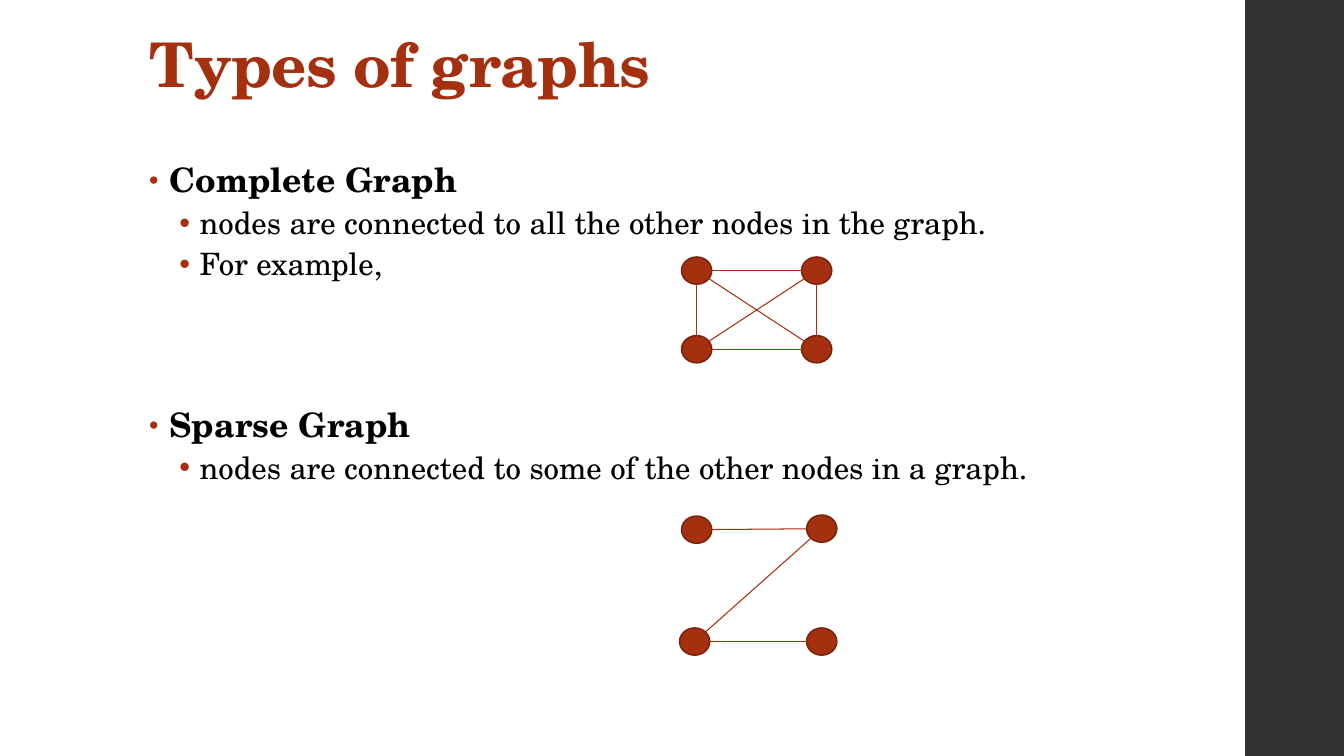
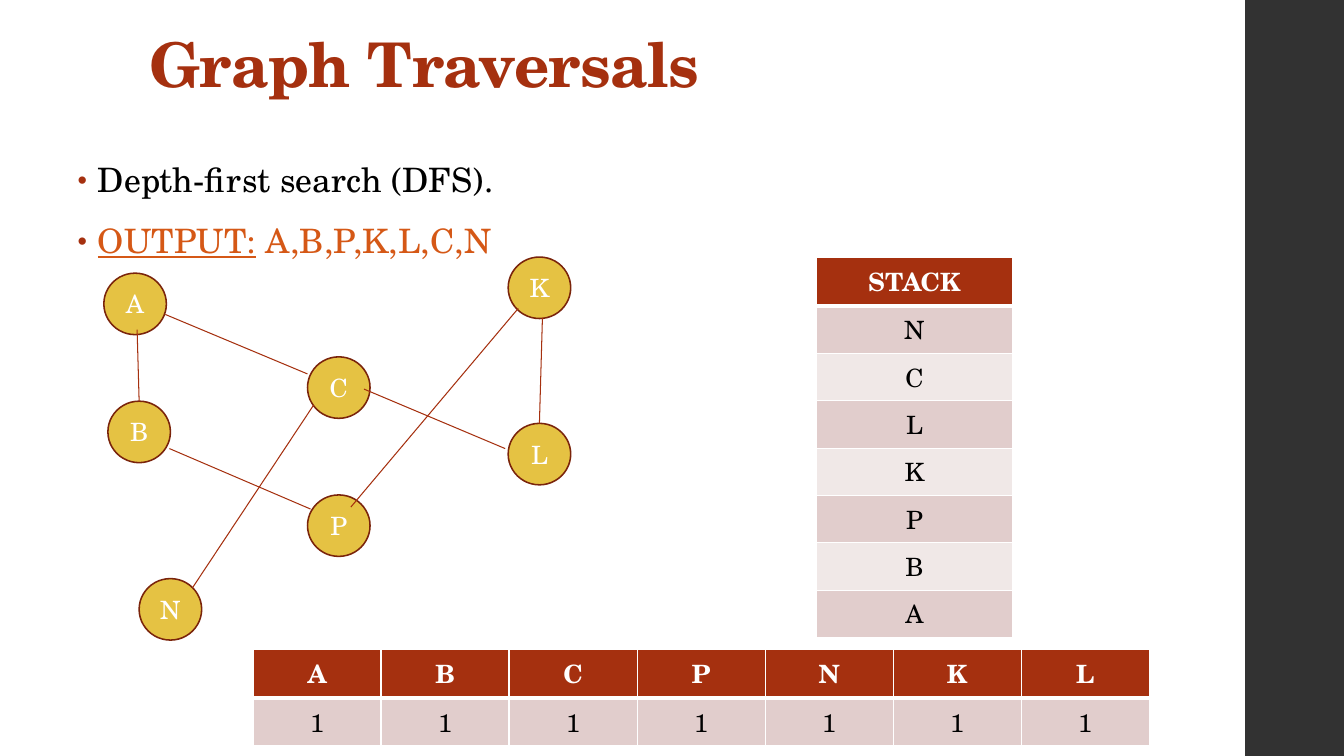
from itertools import combinations, product
from math import hypot

from lxml.etree import SubElement
from pptx import Presentation
from pptx.dml.color import RGBColor
from pptx.enum.shapes import MSO_CONNECTOR, MSO_SHAPE
from pptx.enum.text import MSO_ANCHOR, MSO_AUTO_SIZE, PP_ALIGN
from pptx.oxml import parse_xml
from pptx.oxml.ns import nsdecls, qn
from pptx.util import Inches, Pt

FONT = "TeX Gyre Schola"
WHITE = RGBColor(0xFF, 0xFF, 0xFF)
BLACK = RGBColor(0x00, 0x00, 0x00)
CHARCOAL = RGBColor(0x32, 0x32, 0x32)
RUST = RGBColor(0xA5, 0x30, 0x0F)
DARK_RUST = RGBColor(0x7A, 0x24, 0x0B)
ORANGE = RGBColor(0xD5, 0x58, 0x16)
GOLD = RGBColor(0xE5, 0xC2, 0x43)
ROW_TINTS = (RGBColor(0xE1, 0xCD, 0xCC), RGBColor(0xF0, 0xE8, 0xE7))

DOT = (0.3, 0.27)
LETTER_NODE = (0.62, 0.61)
ROW_HEIGHT = 0.47


class Deck:
    def __init__(self):
        self.presentation = Presentation()
        self.presentation.slide_width = Inches(13.33)
        self.presentation.slide_height = Inches(7.5)
        self.slide = None

    def style(self, run, size, color, bold=False, underline=False, spacing=0):
        font = run.font
        font.name, font.size, font.bold = FONT, Pt(size), bold
        font.underline = underline
        font.color.rgb = color
        if spacing:
            run._r.get_or_add_rPr().set("spc", str(spacing))

    def place(self, shape, left, top, width, height):
        shape.left, shape.top = Inches(left), Inches(top)
        shape.width, shape.height = Inches(width), Inches(height)

    def start(self, heading):
        layout = self.presentation.slide_layouts[1]
        self.slide = self.presentation.slides.add_slide(layout)
        self.shape(MSO_SHAPE.RECTANGLE, 12.35, 0, 1, 7.5, CHARCOAL)
        title = self.slide.shapes.title
        self.place(title, 1.38, 0.29, 9.4, 0.76)
        frame = title.text_frame
        frame.text = heading
        frame.auto_size = MSO_AUTO_SIZE.NONE
        frame.vertical_anchor = MSO_ANCHOR.BOTTOM
        frame.margin_top, frame.margin_bottom = Inches(0.03), Inches(0.05)
        paragraph = frame.paragraphs[0]
        paragraph.alignment = PP_ALIGN.LEFT
        paragraph.line_spacing = 0.9
        self.style(paragraph.runs[0], 44, RUST, bold=True, spacing=-50)

    def body(self, left, width):
        outline = self.slide.placeholders[1]
        self.place(outline, left, 1.56, width, 5.52)
        outline.text_frame.auto_size = MSO_AUTO_SIZE.NONE
        outline.text_frame.vertical_anchor = MSO_ANCHOR.TOP
        return outline.text_frame

    def bullet(self, frame, text, level=0, before=None, **look):
        paragraph = frame.paragraphs[0]
        if paragraph.runs:
            paragraph = frame.add_paragraph()
        paragraph.text = text
        paragraph.level = level
        paragraph.alignment = PP_ALIGN.LEFT
        size, line, space_before, space_after, indent, spacing = (
            (22, 0.9, 3, 3, 0.5, 0) if level else (24, 0.95, 14, 2, 0.2, 10))
        paragraph.line_spacing = line
        paragraph.space_before = Pt(before or space_before)
        paragraph.space_after = Pt(space_after)
        properties = paragraph._p.get_or_add_pPr()
        properties.set("marL", str(Inches(indent)))
        properties.set("indent", str(Inches(-0.2)))
        color = SubElement(properties, qn("a:buClr"))
        SubElement(color, qn("a:srgbClr"), val=str(RUST))
        SubElement(properties, qn("a:buSzPct"), val="100000" if level else "80000")
        SubElement(properties, qn("a:buChar"), char="•")
        look = {"color": BLACK, "spacing": spacing, **look}
        self.style(paragraph.runs[0], size, **look)
        return paragraph

    def shape(self, preset, left, top, width, height, fill, outline=None):
        shape = self.slide.shapes.add_shape(
            preset, Inches(left), Inches(top), Inches(width), Inches(height))
        shape.shadow.inherit = False
        shape.fill.solid()
        shape.fill.fore_color.rgb = fill
        if outline is None:
            shape.line.fill.background()
        else:
            shape.line.color.rgb = outline
            shape.line.width = Pt(1.1)
        return shape

    def node(self, left, top, size=DOT, fill=RUST, letter=""):
        node = self.shape(MSO_SHAPE.FLOWCHART_CONNECTOR, left, top, *size, fill, DARK_RUST)
        if letter:
            frame = node.text_frame
            frame.text = letter
            frame.word_wrap = False
            frame.vertical_anchor = MSO_ANCHOR.MIDDLE
            frame.paragraphs[0].alignment = PP_ALIGN.CENTER
            self.style(frame.paragraphs[0].runs[0], 18, WHITE)

    def edge(self, x1, y1, x2, y2):
        edge = self.slide.shapes.add_connector(
            MSO_CONNECTOR.STRAIGHT, Inches(x1), Inches(y1), Inches(x2), Inches(y2))
        edge.line.color.rgb = RUST
        edge.line.width = Pt(0.75)
        SubElement(edge._element.spPr, qn("a:effectLst"))

    def dot_graph(self, corners, links):
        width, height = DOT
        for corner in corners:
            self.node(*corner)
        for first, second in links:
            (x1, y1), (x2, y2) = [
                (left + width / 2, top + height / 2) for left, top in (first, second)]
            across, down = x2 - x1, y2 - y1
            reach = 1 / hypot(across / (width / 2), down / (height / 2))
            self.edge(x1 + across * reach, y1 + down * reach,
                      x2 - across * reach, y2 - down * reach)

    def table(self, left, top, column_width, rows):
        columns = len(rows[0])
        table = self.slide.shapes.add_table(
            len(rows), columns, Inches(left), Inches(top),
            Inches(column_width * columns), Inches(ROW_HEIGHT * len(rows))).table
        for column in table.columns:
            column.width = Inches(column_width)
        for row in table.rows:
            row.height = Inches(ROW_HEIGHT)
        for r, values in enumerate(rows):
            for c, value in enumerate(values):
                self.cell(table.cell(r, c), value, r)

    def cell(self, cell, value, row):
        header = row == 0
        cell.text = value
        cell.vertical_anchor = MSO_ANCHOR.MIDDLE
        cell.fill.solid()
        cell.fill.fore_color.rgb = RUST if header else ROW_TINTS[(row - 1) % 2]
        paragraph = cell.text_frame.paragraphs[0]
        paragraph.alignment = PP_ALIGN.CENTER
        self.style(paragraph.runs[0], 18, WHITE if header else BLACK, bold=header)
        widths = {"L": 1, "R": 1, "T": 3 if row == 1 else 1, "B": 3 if header else 1}
        for position, (side, width) in enumerate(widths.items()):
            cell._tc.get_or_add_tcPr().insert(position, parse_xml(
                f'<a:ln{side} {nsdecls("a")} w="{Pt(width)}"><a:solidFill>'
                f'<a:srgbClr val="{WHITE}"/></a:solidFill></a:ln{side}>'))


def graph_types(deck):
    deck.start("Types of graphs")
    outline = deck.body(1.38, 9.4)
    deck.bullet(outline, "Complete Graph", bold=True)
    deck.bullet(outline, "nodes are connected to all the other nodes in the graph.", level=1)
    deck.bullet(outline, "For example,", level=1)
    deck.bullet(outline, "Sparse Graph", before=86, bold=True)
    deck.bullet(outline, "nodes are connected to some of the other nodes in a graph.", level=1)

    complete = list(product((6.76, 7.95), (2.55, 3.33)))
    deck.dot_graph(complete, combinations(complete, 2))
    sparse = [(6.76, 5.12), (8, 5.11), (6.74, 6.23), (8, 6.23)]
    deck.dot_graph(sparse, zip(sparse, sparse[1:]))


def graph_traversals(deck):
    deck.start("Graph Traversals")
    outline = deck.body(0.67, 11.3)
    deck.bullet(outline, "Depth-first search (DFS).")
    output = deck.bullet(outline, "OUTPUT:", color=ORANGE, underline=True)
    order = output.add_run()
    order.text = " A,B,P,K,L,C,N"
    deck.style(order, 24, ORANGE, spacing=10)

    nodes = {"C": (3.05, 3.54), "N": (1.38, 5.74), "L": (5.04, 4.2), "P": (3.05, 4.91),
             "A": (1.03, 2.71), "K": (5.04, 2.55), "B": (1.07, 3.98)}
    for letter, corner in nodes.items():
        deck.node(*corner, LETTER_NODE, GOLD, letter)
    edges = [(1.64, 3.12, 3.05, 3.71), (1.36, 3.27, 1.38, 3.98), (5.38, 3.15, 5.35, 4.2),
             (3.11, 4.02, 1.91, 5.83), (3.61, 3.86, 5.01, 4.45), (1.68, 4.45, 3.08, 5.05),
             (5.14, 3.06, 3.48, 5.03)]
    for ends in edges:
        deck.edge(*ends)

    deck.table(2.51, 6.44, 1.27, ["ABCPNKL", "1" * 7])
    deck.table(8.1, 2.55, 1.94, [["STACK"], *"NCLKPBA"])


def main():
    deck = Deck()
    graph_types(deck)
    graph_traversals(deck)
    deck.presentation.save("out.pptx")


if __name__ == "__main__":
    main()
